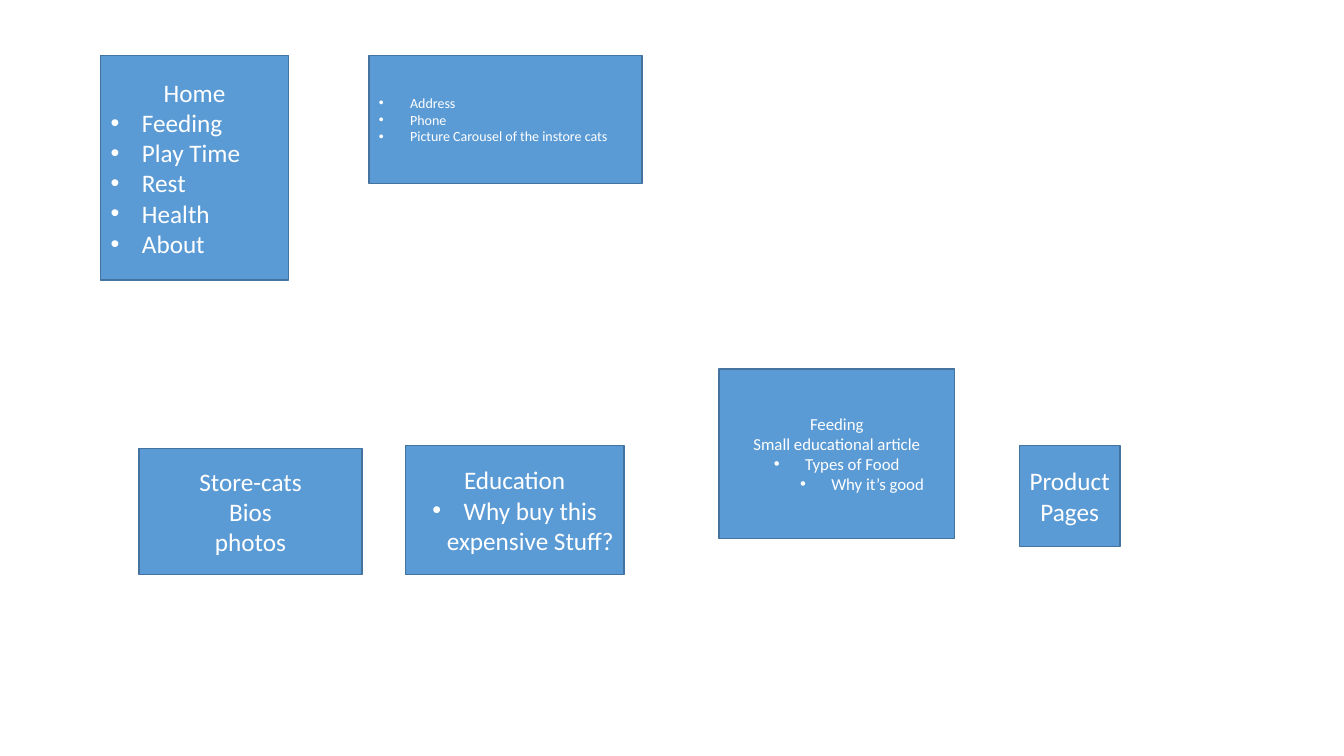
import pptx
import pptx.util
import pptx.dml.color
import pptx.enum.shapes
import pptx.enum.text
import lxml.etree

# Content: a paragraph is (text, bullet level, alignment); level None has no bullet
FONT, FILL, LINE, INK = "Calibri", "5B9BD5", "43739E", "FFFFFF"
LEFT = pptx.enum.text.PP_ALIGN.LEFT
CENTER = pptx.enum.text.PP_ALIGN.CENTER


def centred(*lines):
    return [(line, None, CENTER) for line in lines]


def bullets(*lines, align=LEFT, level=0):
    return [(line, level, align) for line in lines]


# Each card: left, top, width, height in inches, text size, paragraphs
CARDS = [
    (1, 0.55, 1.86, 2.23, 18,
     centred("Home") + bullets("Feeding", "Play Time", "Rest", "Health", "About")),
    (3.66, 0.55, 2.71, 1.27, 10,
     bullets("Address ", "Phone", "Picture Carousel of the instore cats")),
    (1.38, 4.45, 2.21, 1.25, 18, centred("Store-cats", "Bios", "photos")),
    (10.11, 4.42, 1, 1, 18, centred("Product Pages")),
    (4.02, 4.42, 2.17, 1.28, 18,
     centred("Education") + bullets("Why buy this expensive Stuff?", align=CENTER)),
    (7.13, 3.66, 2.34, 1.68, 12,
     centred("Feeding", "Small educational article")
     + bullets("Types of Food", align=CENTER)
     + bullets("Why it’s good", align=CENTER, level=1)),
]
HANG, LEVEL_STEP = 0.31, 0.5


def color(value):
    return pptx.dml.color.RGBColor.from_string(value)


def add_bullet(para, level):
    para.level = level
    properties = para._p.get_or_add_pPr()
    properties.set("marL", str(pptx.util.Inches(HANG + level * LEVEL_STEP)))
    properties.set("indent", str(-pptx.util.Inches(HANG)))
    namespace = pptx.oxml.ns.qn
    lxml.etree.SubElement(properties, namespace("a:buFont")).set("typeface", "Arial")
    lxml.etree.SubElement(properties, namespace("a:buChar")).set("char", "•")


def add_card(page, left, top, width, height, size, paragraphs):
    box = page.shapes.add_shape(
        pptx.enum.shapes.MSO_SHAPE.RECTANGLE,
        *map(pptx.util.Inches, (left, top, width, height)))
    box.shadow.inherit = False
    box.fill.solid()
    box.fill.fore_color.rgb = color(FILL)
    box.line.color.rgb = color(LINE)
    box.line.width = pptx.util.Pt(1)
    frame = box.text_frame
    frame.word_wrap = True
    frame.vertical_anchor = pptx.enum.text.MSO_ANCHOR.MIDDLE
    for index, (text, level, align) in enumerate(paragraphs):
        para = frame.add_paragraph() if index else frame.paragraphs[0]
        para.alignment = align
        if level is not None:
            add_bullet(para, level)
        span = para.add_run()
        span.text = text
        span.font.name = FONT
        span.font.size = pptx.util.Pt(size)
        span.font.color.rgb = color(INK)


# Build the slide
deck = pptx.Presentation()
deck.slide_width = pptx.util.Inches(13.33)
deck.slide_height = pptx.util.Inches(7.5)
page = deck.slides.add_slide(deck.slide_layouts[6])
for card in CARDS:
    add_card(page, *card)
deck.save("out.pptx")
